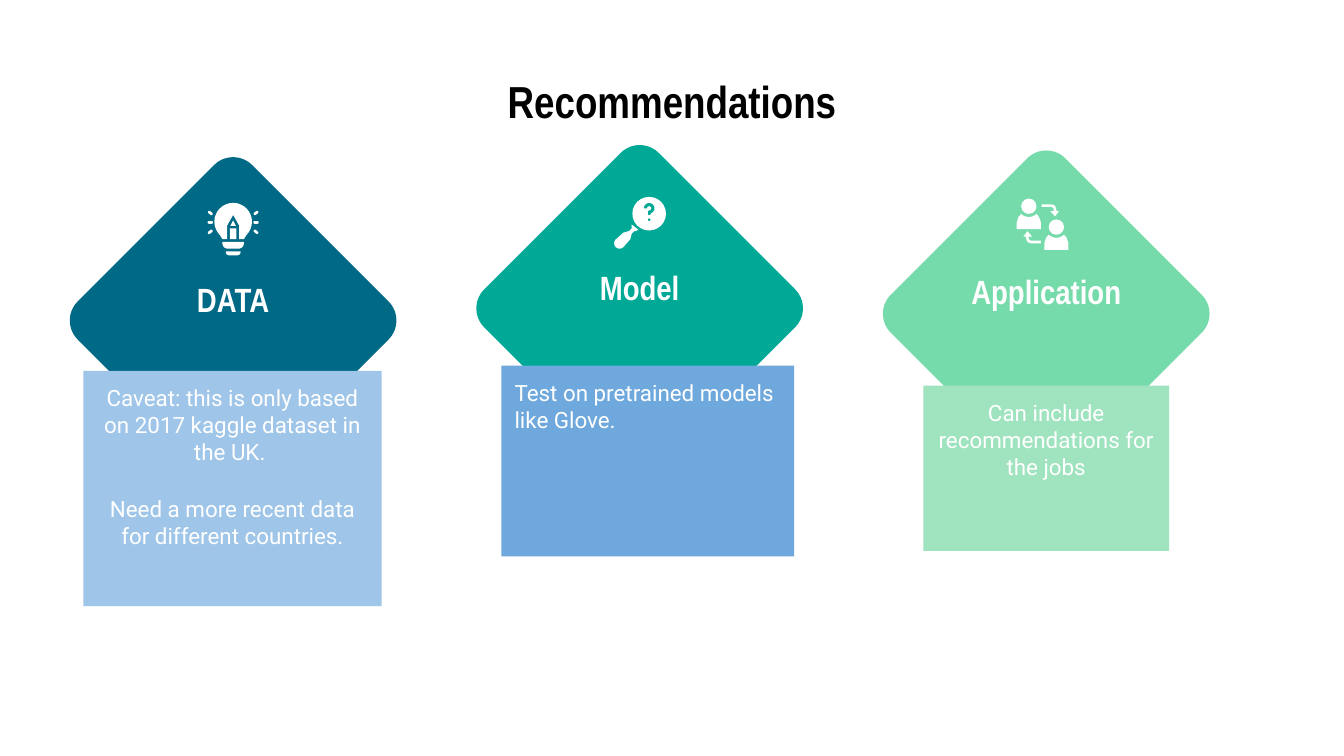
from math import cos, radians, sin, sqrt

from pptx import Presentation
from pptx.dml.color import RGBColor
from pptx.enum.shapes import MSO_SHAPE as Preset
from pptx.enum.text import PP_ALIGN as Align, MSO_ANCHOR as Anchor
from pptx.util import Inches, Pt

COLORS = {
    "black": "000000", "white": "FFFFFF",
    "data": "006985", "data_card": "9FC5E8",
    "model": "00A896", "model_card": "6FA8DC",
    "application": "76DBAB", "application_card": "9FE3BF",
}
HEADING_FONT = "Arial Narrow"
BODY_FONT = "Roboto"
DIAMOND_REACH = 1.215
CORNER_RADIUS = 0.2
LABEL_SIZE = (1.66, 0.52)


def paint(shape, color):
    shape.fill.solid()
    shape.fill.fore_color.rgb = RGBColor.from_string(COLORS[color])
    shape.line.fill.background()
    shape.shadow.inherit = False


def add_preset(slide, preset, left, top, width, height, color="white", rotation=0):
    shape = slide.shapes.add_shape(
        preset, Inches(left), Inches(top), Inches(width), Inches(height))
    shape.rotation = rotation
    paint(shape, color)
    return shape


def arc(x, y, radius, start, end, steps=24):
    angles = [radians(start + (end - start) * i / steps) for i in range(steps + 1)]
    return [(x + radius * cos(a), y + radius * sin(a)) for a in angles]


def add_outline(slide, *contours, color="white"):
    contours = [[(Inches(x), Inches(y)) for x, y in points] for points in contours]
    builder = slide.shapes.build_freeform(*contours[0][0])
    builder.add_line_segments(contours[0][1:])
    for points in contours[1:]:
        builder.move_to(*points[0])
        builder.add_line_segments(points[1:])
    paint(builder.convert_to_shape(), color)


def set_text(frame, paragraphs, size, font, color="white", bold=False,
             align=Align.CENTER, spacing=None):
    frame.word_wrap = True
    frame.vertical_anchor = Anchor.TOP
    frame.margin_left = frame.margin_right = Inches(0.1)
    frame.margin_top = frame.margin_bottom = Inches(0.1)
    for index, text in enumerate(paragraphs):
        paragraph = frame.add_paragraph() if index else frame.paragraphs[0]
        paragraph.alignment = align
        paragraph.line_spacing = spacing
        if index:
            paragraph.space_before = Pt(16)
        run = paragraph.add_run()
        run.text = text
        run.font.size = Pt(size)
        run.font.name = font
        run.font.bold = bold
        run.font.color.rgb = RGBColor.from_string(COLORS[color])


def add_diamond(slide, x, y, color):
    inset = DIAMOND_REACH - CORNER_RADIUS
    corners = [(inset, 0, 0), (0, inset, 90), (-inset, 0, 180), (0, -inset, 270)]
    points = [point for dx, dy, angle in corners
              for point in arc(x + dx, y + dy, CORNER_RADIUS, angle - 45, angle + 45)]
    add_outline(slide, points, color=color)


def add_recommendation(slide, topic, x, y, label, label_top, card, paragraphs, align):
    add_diamond(slide, x, y, topic)
    width, height = LABEL_SIZE
    heading = slide.shapes.add_textbox(
        Inches(x - width / 2), Inches(label_top), Inches(width), Inches(height))
    set_text(heading.text_frame, [label], 18, HEADING_FONT, bold=True, spacing=1.15)
    details = add_preset(slide, Preset.RECTANGLE, *card, color=f"{topic}_card")
    set_text(details.text_frame, paragraphs, 12, BODY_FONT, align=align)


def add_bulb_cap(slide, x, top, width, height):
    half = width / 2
    radius = height * 0.8
    y = top + height - radius
    add_outline(slide, [
        (x - half, top),
        *arc(x - half + radius, y, radius, 180, 90),
        *arc(x + half - radius, y, radius, 90, 0),
        (x + half, top)])


def add_bulb_icon(slide, x):
    for side in (-1, 1):
        for dy, tilt in ((-0.07, -38), (0, 0), (0.07, 38)):
            ray = add_preset(slide, Preset.ROUNDED_RECTANGLE, x + side * 0.17 - 0.02,
                             1.645 + dy, 0.04, 0.02, rotation=side * tilt)
            ray.adjustments[0] = 0.5
    add_outline(slide, [
        *arc(x, 1.65, 0.14, 45, -225),
        (x - 0.08, 1.78), (x - 0.045, 1.78), (x - 0.045, 1.68), (x, 1.6),
        (x + 0.045, 1.68), (x + 0.045, 1.78), (x + 0.08, 1.78)])
    add_preset(slide, Preset.RECTANGLE, x - 0.025, 1.7, 0.05, 0.08)
    add_preset(slide, Preset.ISOSCELES_TRIANGLE, x - 0.02, 1.64, 0.04, 0.04)
    add_bulb_cap(slide, x, 1.8, 0.16, 0.05)
    add_bulb_cap(slide, x, 1.87, 0.11, 0.03)


def add_magnifier_icon(slide):
    x = 4.83
    add_outline(slide, [
        (4.7, 1.67), (4.75, 1.71), (4.73, 1.72), (4.72, 1.72), (4.7, 1.74), (4.69, 1.78),
        *arc(4.61, 1.81, 0.04, 45, 225),
        (4.64, 1.73), (4.68, 1.72), (4.7, 1.7)])
    question_mark = [
        *arc(x, 1.55, 0.04, 180, 430),
        (x + 0.01, 1.6), (x - 0.01, 1.6), (x - 0.01, 1.57),
        *arc(x, 1.55, 0.015, 70, -180)]
    add_outline(slide, arc(x, 1.59, 0.125, 0, 360), question_mark,
                arc(x, 1.635, 0.01, 0, 360))


def add_person(slide, x, y):
    radius = 0.057
    add_preset(slide, Preset.OVAL, x - radius, y - radius, 2 * radius, 2 * radius)
    half = 0.09
    neck = 0.08 / sqrt(2)
    add_outline(slide, [
        *arc(x, y, 0.08, 135, 45),
        (x + neck + 0.02, y + 0.08), (x + half, y + 0.12), (x + half, y + 0.17),
        (x - half, y + 0.17), (x - half, y + 0.12), (x - neck - 0.02, y + 0.08)])


def add_swap_arrow(slide, x, y, direction):
    bend = [(-0.065, -0.045), (0.01, -0.045), (0.035, -0.035), (0.045, -0.01),
            (0.045, 0.005), (0.065, 0.005), (0.035, 0.045), (0, 0.005),
            (0.025, 0.005), (0.025, -0.015), (0.01, -0.025), (-0.065, -0.025)]
    add_outline(slide, [(x + direction * dx, y + direction * dy) for dx, dy in bend])


def add_exchange_icon(slide):
    add_person(slide, 7.655, 1.535)
    add_person(slide, 7.86, 1.69)
    add_swap_arrow(slide, 7.815, 1.565, 1)
    add_swap_arrow(slide, 7.68, 1.765, -1)


def main():
    deck = Presentation()
    deck.slide_width = Inches(10)
    deck.slide_height = deck.slide_width * 9 // 16
    slide = deck.slides.add_slide(deck.slide_layouts[5])
    title = slide.shapes.title
    title.left, title.top = Inches(0.5), Inches(0.45)
    title.width, title.height = Inches(9), Inches(0.63)
    set_text(title.text_frame, ["Recommendations"], 24, HEADING_FONT,
             color="black", bold=True)

    data_x, model_x, application_x = [1.735 + 3.025 * i for i in range(3)]
    add_recommendation(
        slide, "application", application_x, 2.335, "Application", 1.87,
        (6.87, 2.87, 1.83, 1.23), ["Can include recommendations for the jobs"],
        Align.CENTER)
    add_exchange_icon(slide)
    add_recommendation(
        slide, "model", model_x, 2.295, "Model", 1.84,
        (3.73, 2.72, 2.18, 1.42), ["Test on pretrained models like Glove."],
        Align.LEFT)
    add_magnifier_icon(slide)
    add_recommendation(
        slide, "data", data_x, 2.385, "DATA", 1.93, (0.62, 2.76, 2.22, 1.75),
        ["Caveat: this is only based on 2017 kaggle dataset in the UK. ",
         "Need a more recent data for different countries."],
        Align.CENTER)
    add_bulb_icon(slide, data_x)

    deck.save("out.pptx")


if __name__ == "__main__":
    main()
